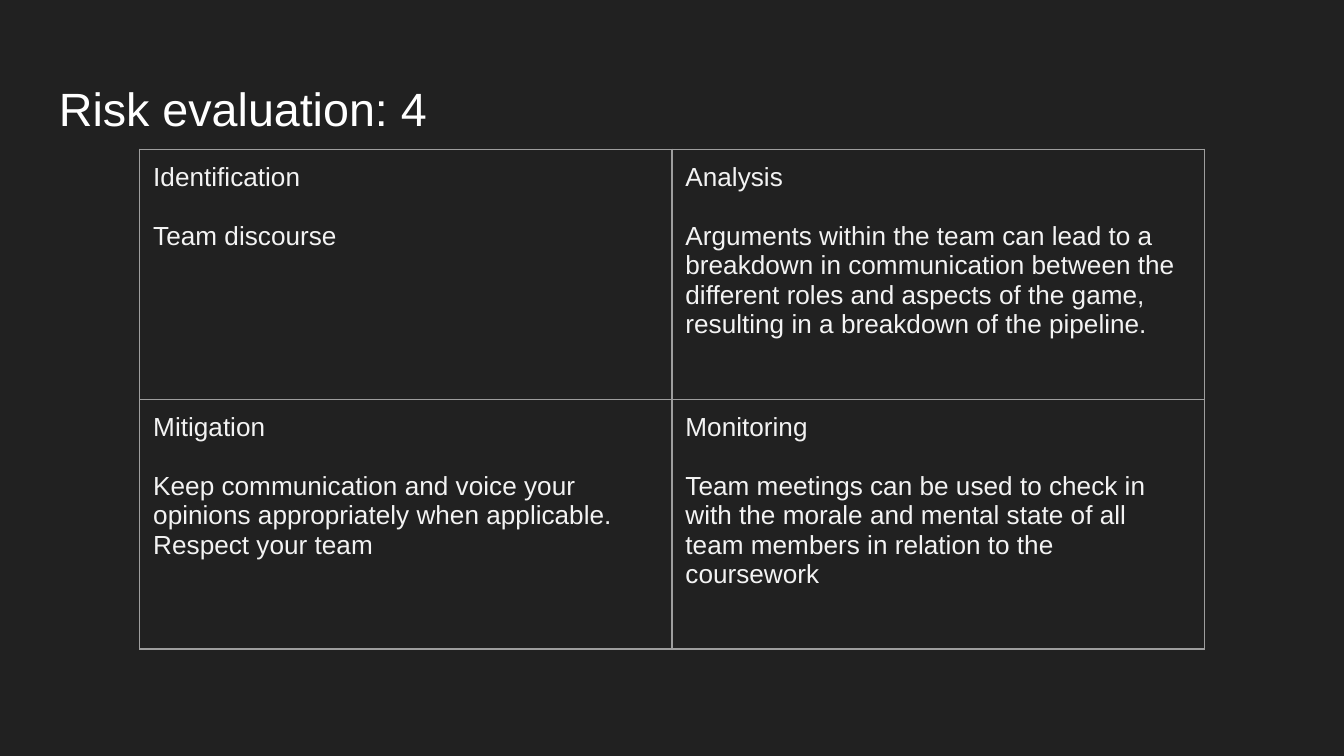
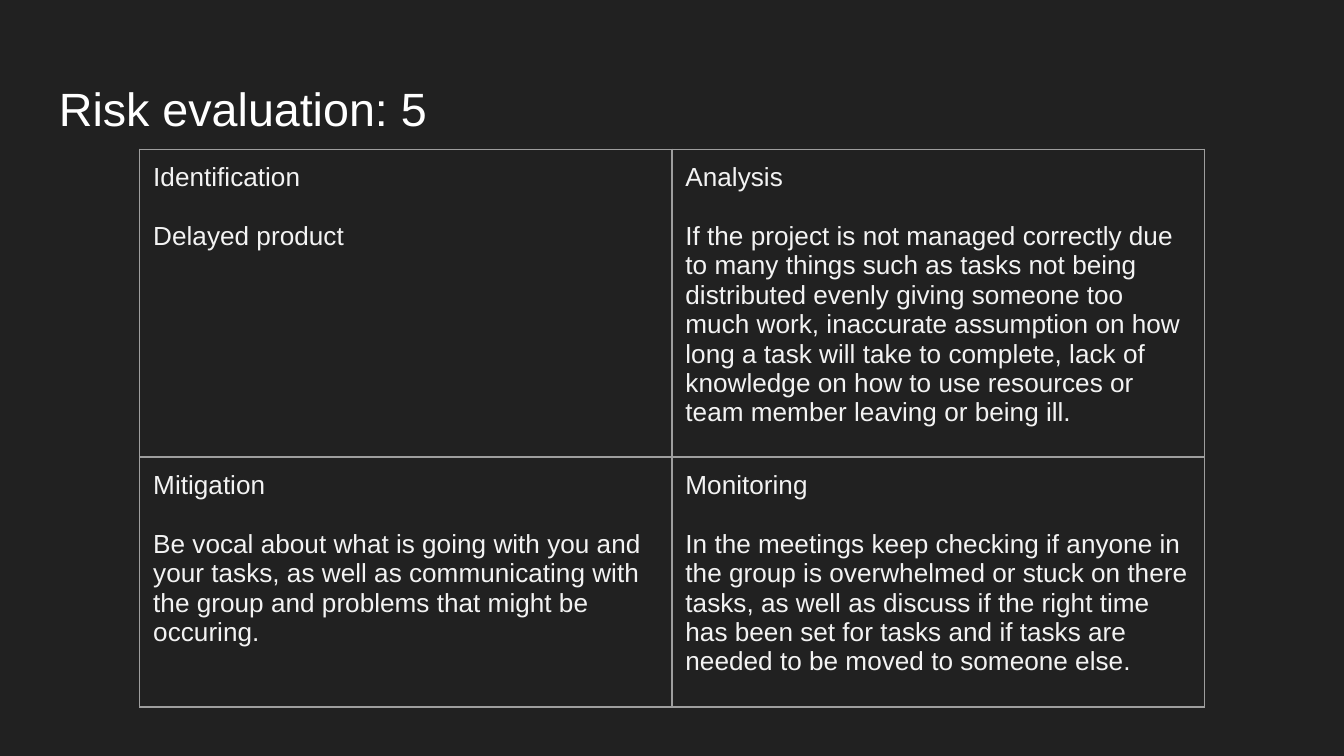
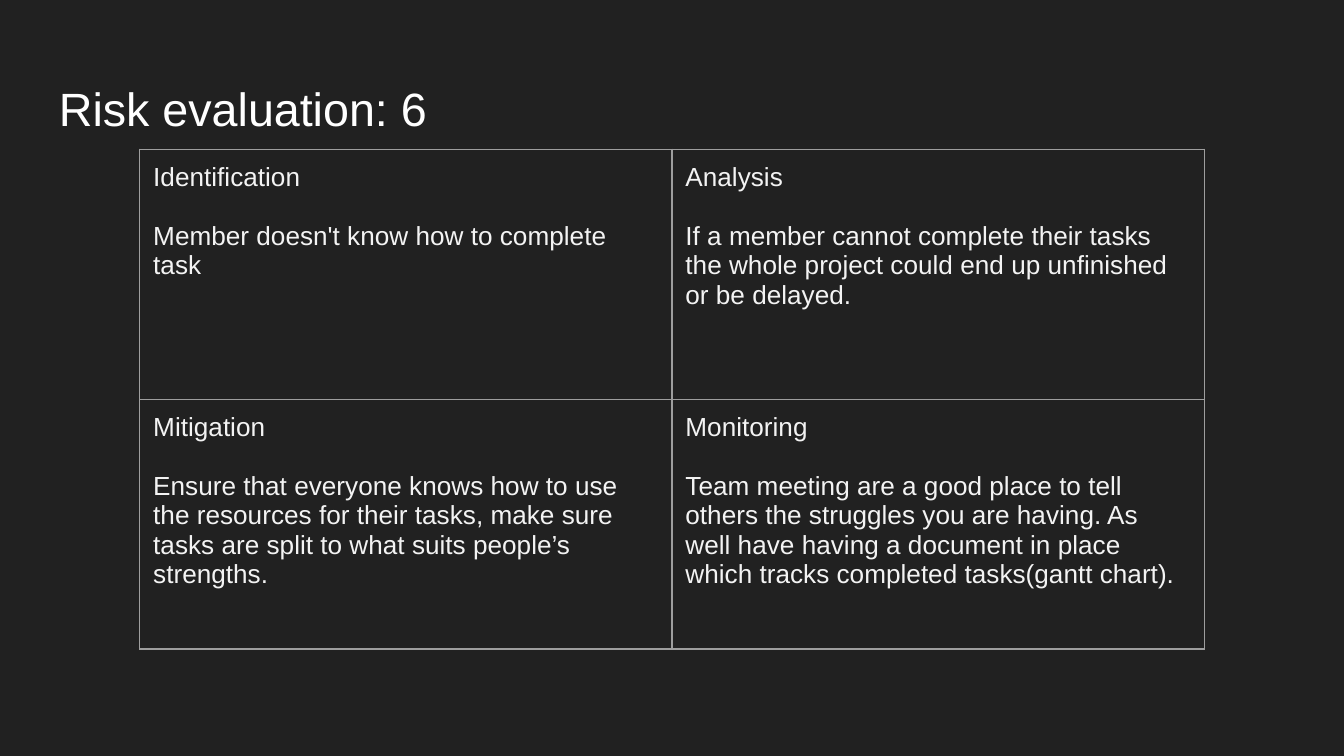
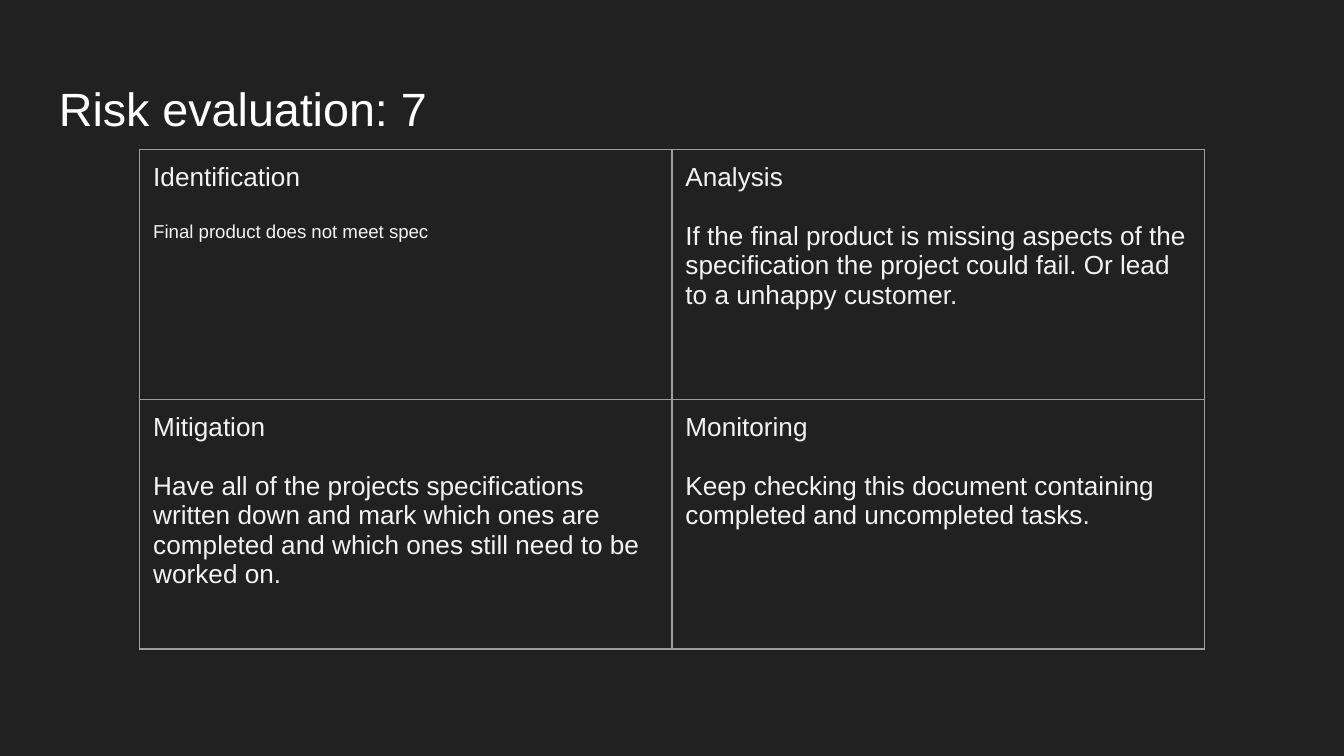
import lxml.etree
import pptx
import pptx.dml.color
import pptx.enum.text
import pptx.oxml.ns
import pptx.util
from pptx.util import Inches, Pt

FONT = "Arial"
BACKGROUND = "212121"
TITLE_COLOUR = "FFFFFF"
TEXT_COLOUR = "F3F3F3"
BORDER_COLOUR = "9E9E9E"
BORDER_WIDTH = Pt(0.75)
MARGIN = Inches(0.1)
BODY_SIZE = 14
BODY_GAP = Pt(16)
TITLE_BOX = (Inches(0.34), Inches(0.49), Inches(9.32), Inches(0.63))
GRID_BOX = (Inches(1.04), Inches(1.11), Inches(7.92), Inches(3.72))
HEADINGS = ["Identification", "Analysis", "Mitigation", "Monitoring"]

RISKS = [
    (4, BODY_SIZE, [
        "Team discourse",
        "Arguments within the team can lead to a breakdown in communication between the "
        "different roles and aspects of the game, resulting in a breakdown of the pipeline.",
        "Keep communication and voice your opinions appropriately when applicable. "
        "Respect your team",
        "Team meetings can be used to check in with the morale and mental state of all "
        "team members in relation to the coursework",
    ]),
    (5, BODY_SIZE, [
        "Delayed product",
        "If the project is not managed correctly due to many things such as tasks not being "
        "distributed evenly giving someone too much work, inaccurate assumption on how long "
        "a task will take to complete, lack of knowledge on how to use resources or team "
        "member leaving or being ill.",
        "Be vocal about what is going with you and your tasks, as well as communicating "
        "with the group and problems that might be occuring.",
        "In the meetings keep checking if anyone in the group is overwhelmed or stuck on "
        "there tasks, as well as discuss if the right time has been set for tasks and if "
        "tasks are needed to be moved to someone else.",
    ]),
    (6, BODY_SIZE, [
        "Member doesn't know how to complete task",
        "If a member cannot complete their tasks the whole project could end up unfinished "
        "or be delayed.",
        "Ensure that everyone knows how to use the resources for their tasks, make sure "
        "tasks are split to what suits people’s strengths.",
        "Team meeting are a good place to tell others the struggles you are having. As well "
        "have having a document in place which tracks completed tasks(gantt chart).",
    ]),
    (7, 10, [
        "Final product does not meet spec",
        "If the final product is missing aspects of the specification the project could "
        "fail. Or lead to a unhappy customer.",
        "Have all of the projects specifications written down and mark which ones are "
        "completed and which ones still need to be worked on.",
        "Keep checking this document containing completed and uncompleted tasks.",
    ]),
]


def colour(value):
    return pptx.dml.color.RGBColor.from_string(value)


def write(paragraph, text, size, text_colour):
    paragraph.text = text
    paragraph.font.name = FONT
    paragraph.font.size = Pt(size)
    paragraph.font.color.rgb = colour(text_colour)


def set_margins(holder):
    holder.margin_left = holder.margin_right = MARGIN
    holder.margin_top = holder.margin_bottom = MARGIN


def add_title(slide, box, text):
    frame = slide.shapes.add_textbox(*box).text_frame
    frame.word_wrap = True
    frame.vertical_anchor = pptx.enum.text.MSO_ANCHOR.MIDDLE
    set_margins(frame)
    write(frame.paragraphs[0], text, 25, TITLE_COLOUR)


def add_borders(cell):
    qualified = pptx.oxml.ns.qn
    properties = cell._tc.get_or_add_tcPr()
    for position, side in enumerate(("a:lnL", "a:lnR", "a:lnT", "a:lnB")):
        line = lxml.etree.Element(qualified(side), w=str(BORDER_WIDTH))
        fill = lxml.etree.SubElement(line, qualified("a:solidFill"))
        lxml.etree.SubElement(fill, qualified("a:srgbClr"), val=BORDER_COLOUR)
        properties.insert(position, line)


def fill_cell(cell, heading, body, body_size):
    cell.fill.background()
    add_borders(cell)
    set_margins(cell)
    write(cell.text_frame.paragraphs[0], heading, BODY_SIZE, TEXT_COLOUR)
    body_paragraph = cell.text_frame.add_paragraph()
    write(body_paragraph, body, body_size, TEXT_COLOUR)
    body_paragraph.space_before = BODY_GAP


def add_risk_grid(slide, box, bodies, identification_size):
    table = slide.shapes.add_table(2, 2, *box).table
    table.first_row = table.horz_banding = False
    sizes = [identification_size] + [BODY_SIZE] * 3
    for cell, heading, body, size in zip(table.iter_cells(), HEADINGS, bodies, sizes):
        fill_cell(cell, heading, body, size)


def add_risk_slide(presentation, number, identification_size, bodies):
    slide = presentation.slides.add_slide(presentation.slide_layouts[6])
    slide.background.fill.solid()
    slide.background.fill.fore_color.rgb = colour(BACKGROUND)
    add_title(slide, TITLE_BOX, f"Risk evaluation: {number}")
    add_risk_grid(slide, GRID_BOX, bodies, identification_size)


def main():
    presentation = pptx.Presentation()
    presentation.slide_width = Inches(10)
    presentation.slide_height = presentation.slide_width * 9 // 16
    for risk in RISKS:
        add_risk_slide(presentation, *risk)
    presentation.save("out.pptx")


if __name__ == "__main__":
    main()
